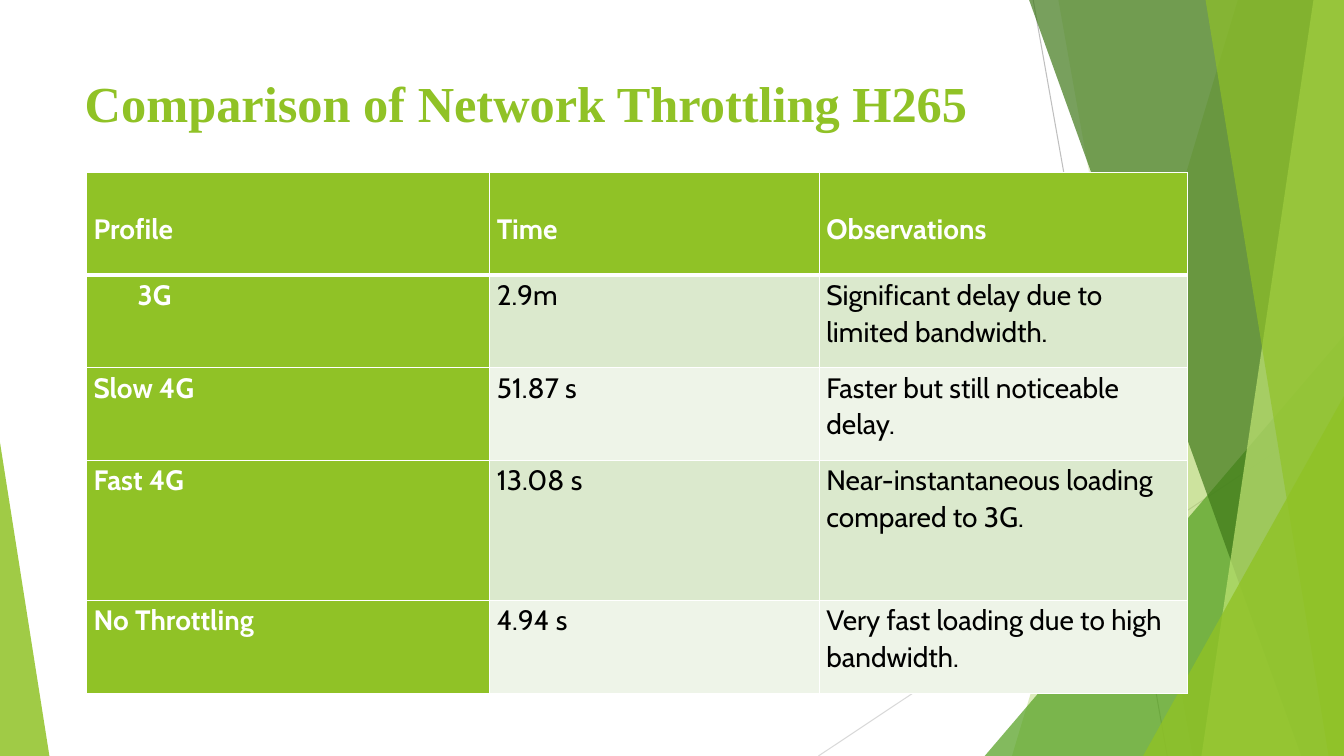
from lxml import etree
from pptx import Presentation
from pptx.dml.color import RGBColor
from pptx.enum.shapes import MSO_CONNECTOR, MSO_SHAPE
from pptx.enum.text import MSO_ANCHOR, PP_ALIGN
from pptx.oxml.ns import qn
from pptx.util import Pt

# Content
HEADING = "Comparison of Network Throttling H265"
ROWS = [
    ("Profile", "Time", "Observations"),
    ("3G", "2.9m", "Significant delay due to limited bandwidth."),
    ("Slow 4G", "51.87 s", "Faster but still noticeable delay."),
    ("Fast 4G", "13.08 s", "Near-instantaneous loading compared to 3G."),
    ("No Throttling", "4.94 s", "Very fast loading due to high bandwidth."),
]
COLORS = {
    "lime": "90C226", "green": "54A021", "forest": "3F7819", "pale": "C0E474",
    "odd row": "DBE9CD", "even row": "EEF4E8", "white": "FFFFFF", "black": "000000",
    "gray": "BFBFBF", "light gray": "D9D9D9",
}

# Layout, in points
WIDTH, HEIGHT = 960, 540
COLUMN_WIDTHS = (288, 235.4, 262.8)
ROW_HEIGHTS = (73.4, 66.2, 66.2, 100.1, 66.2)
TABLE_LEFT, TABLE_TOP = 61.9, 123.1
HEADER_DROP = 27
INDENT_3G = 31.5
RAYS = [((738, 0), (833.8, HEIGHT), "gray"),
        ((WIDTH, 290.2), (584.6, HEIGHT), "light gray")]
# Sheets run from a slanted left edge (top x, bottom x) to the slide's right edge;
# triangles stand on the slide's bottom edge (left, top, width, apex).
FACETS = [
    ("sheet", (884.2, 722.9), "lime", 30),
    ("sheet", (756, 851.8), "lime", 20),
    ("triangle", (703.4, 239.8, 256.6, 1), "green", 72),
    ("sheet", (735.1, 929.5), "forest", 70),
    ("sheet", (938.2, 858.2), "pale", 70),
    ("sheet", (861.1, 949), "lime", 65),
    ("triangle", (816.5, 283, 143.5, 1), "lime", 80),
    ("triangle", (0, 316.1, 35.3, 0), "lime", 85),
]


def rgb(color):
    return RGBColor.from_string(COLORS[color])


def format_text(paragraph, font_name, size, color, bold):
    for run in paragraph.runs:
        font = run.font
        font.name, font.size, font.bold = font_name, Pt(size), bold
        font.color.rgb = rgb(color)


def draw_ray(shapes, start, end, color):
    ray = shapes.add_connector(MSO_CONNECTOR.STRAIGHT, *map(Pt, start + end))
    ray.line.color.rgb = rgb(color)
    ray.line.width = Pt(0.75)
    etree.SubElement(ray.element.spPr, qn("a:effectLst"))


def draw_facet(shapes, kind, measures, color, opacity):
    if kind == "sheet":
        top_x, bottom_x = measures
        builder = shapes.build_freeform(Pt(top_x), 0)
        corners = [(WIDTH, 0), (WIDTH, HEIGHT), (bottom_x, HEIGHT)]
        builder.add_line_segments([(Pt(x), Pt(y)) for x, y in corners], close=True)
        facet = builder.convert_to_shape()
    else:
        left, top, width, apex = measures
        facet = shapes.add_shape(MSO_SHAPE.ISOSCELES_TRIANGLE, Pt(left), Pt(top),
                                 Pt(width), Pt(HEIGHT - top))
        facet.adjustments[0] = apex
    facet.shadow.inherit = False
    facet.line.fill.background()
    facet.fill.solid()
    facet.fill.fore_color.rgb = rgb(color)
    fill_color = facet.element.spPr.find(qn("a:solidFill"))[0]
    etree.SubElement(fill_color, qn("a:alpha"), val=str(opacity * 1000))


def border_cell(cell, widths):
    properties = cell._tc.get_or_add_tcPr()
    for position, (side, width) in enumerate(widths.items()):
        border = etree.Element(qn("a:ln" + side), w=str(Pt(width)))
        fill = etree.SubElement(border, qn("a:solidFill"))
        etree.SubElement(fill, qn("a:srgbClr"), val=COLORS["white"])
        properties.insert(position, border)


def fill_cell(cell, text, row, column):
    is_label = row == 0 or column == 0
    cell.fill.solid()
    cell.fill.fore_color.rgb = rgb(
        "lime" if is_label else "odd row" if row % 2 else "even row")
    cell.margin_left = cell.margin_right = Pt(5)
    cell.margin_top = Pt(HEADER_DROP if row == 0 else 0.7)
    cell.margin_bottom = 0
    cell.vertical_anchor = MSO_ANCHOR.TOP
    border_cell(cell, {"L": 1, "R": 1, "T": 3 if row == 1 else 1,
                       "B": 3 if row == 0 else 1})
    paragraph = cell.text_frame.paragraphs[0]
    paragraph.text = text
    paragraph.line_spacing = 1.07
    paragraph.space_after = Pt(8)
    if text == "3G":
        paragraph._p.get_or_add_pPr().set("marL", str(Pt(INDENT_3G)))
    format_text(paragraph, "Cabin", 20, "white" if is_label else "black", is_label)


def main():
    deck = Presentation()
    deck.slide_width, deck.slide_height = Pt(WIDTH), Pt(HEIGHT)
    slide = deck.slides.add_slide(deck.slide_layouts[5])
    shapes = slide.shapes
    title = shapes.title

    # Background rays and facets
    for ray in RAYS:
        draw_ray(shapes, *ray)
    for facet in FACETS:
        draw_facet(shapes, *facet)

    # Title, brought in front of the background
    shapes._spTree.append(title.element)
    title.left, title.top, title.width, title.height = map(Pt, (53.3, 48.2, 676.8, 103.7))
    title.text_frame.text = HEADING
    title.text_frame.word_wrap = True
    title.text_frame.vertical_anchor = MSO_ANCHOR.TOP
    heading = title.text_frame.paragraphs[0]
    heading.alignment = PP_ALIGN.LEFT
    format_text(heading, "Times New Roman", 36, "lime", True)

    # Comparison table
    comparison = shapes.add_table(
        len(ROWS), len(COLUMN_WIDTHS), Pt(TABLE_LEFT), Pt(TABLE_TOP),
        Pt(sum(COLUMN_WIDTHS)), Pt(sum(ROW_HEIGHTS))).table
    comparison.first_col = True
    for column, width in zip(comparison.columns, COLUMN_WIDTHS):
        column.width = Pt(width)
    for row, height in zip(comparison.rows, ROW_HEIGHTS):
        row.height = Pt(height)
    for r, texts in enumerate(ROWS):
        for c, text in enumerate(texts):
            fill_cell(comparison.cell(r, c), text, r, c)

    deck.save("out.pptx")


if __name__ == "__main__":
    main()
